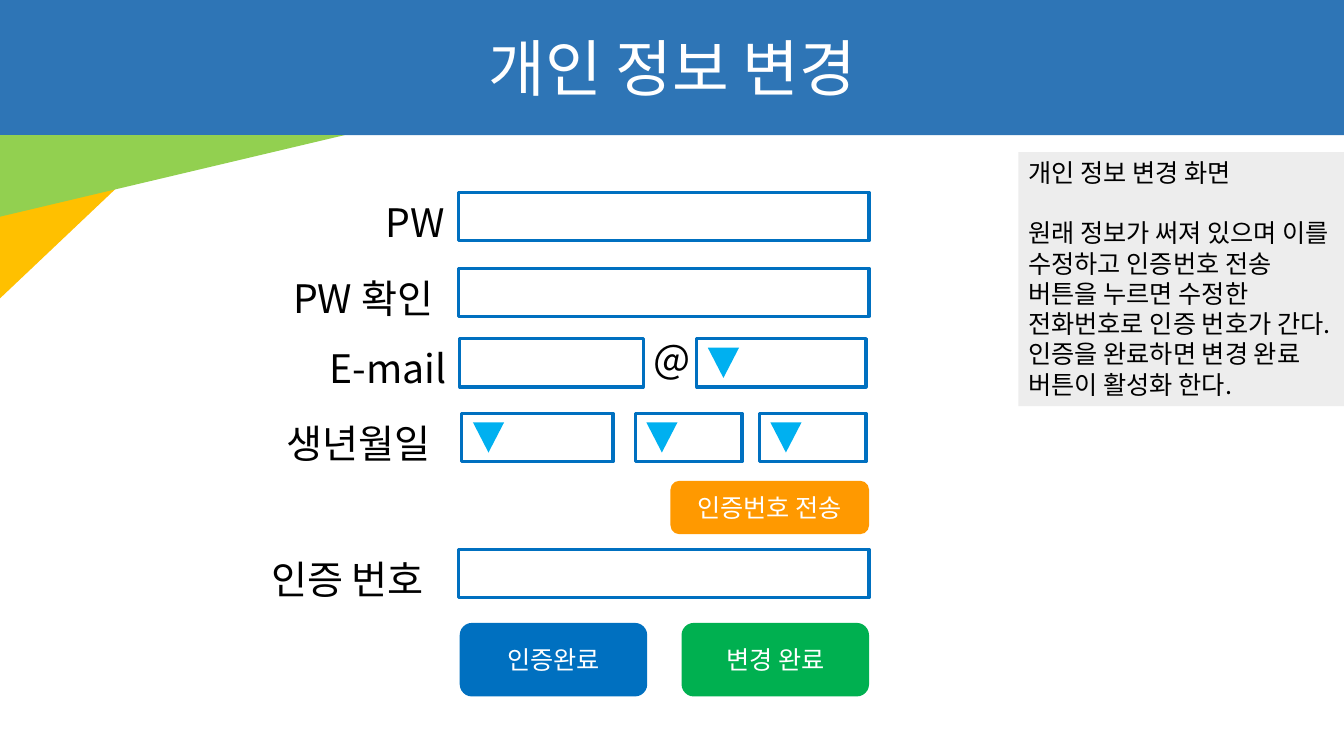
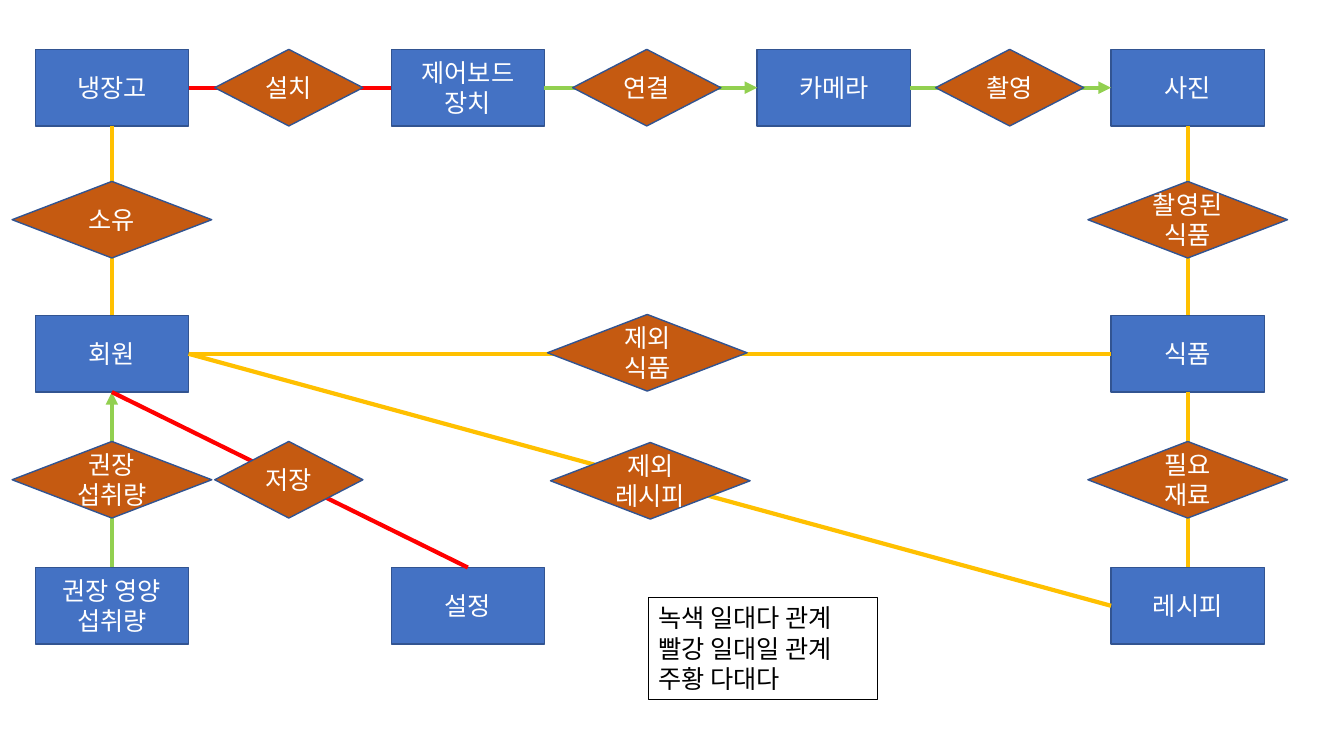
from dataclasses import dataclass

from lxml.etree import SubElement
from pptx import Presentation
from pptx.dml.color import RGBColor as Rgb
from pptx.enum.shapes import MSO_CONNECTOR as Link
from pptx.enum.shapes import MSO_SHAPE as Form
from pptx.enum.text import MSO_ANCHOR as Anchor
from pptx.enum.text import PP_ALIGN as Align
from pptx.oxml.ns import qn
from pptx.util import Inches, Pt


@dataclass(frozen=True)
class Theme:
    font: str = "Noto Sans CJK KR"
    title: int = 44
    label: int = 28
    body: int = 18
    white: str = "FFFFFF"
    black: str = "000000"
    band: str = "2E75B6"
    lime: str = "92D050"
    gold: str = "FFC000"
    red: str = "FF0000"
    note: str = "EDEDED"
    blue: str = "0070C0"
    sky: str = "00B0F0"
    amber: str = "FF9900"
    green: str = "00B050"
    node: str = "4472C4"
    rust: str = "C55A11"
    edge: str = "325491"


TOP, LEFT, BOTTOM, RIGHT = range(4)


class Deck:
    def __init__(self, theme):
        self.theme = theme
        self.show = Presentation()
        self.show.slide_width = Inches(13.33)
        self.show.slide_height = Inches(7.5)
        self.slide = None

    def page(self):
        self.slide = self.show.slides.add_slide(self.show.slide_layouts[6])

    def letter(self, shape, text, size, color, align=Align.LEFT, anchor=Anchor.TOP, gap=0):
        frame = shape.text_frame
        frame.word_wrap = True
        frame.vertical_anchor = anchor
        frame.text = text
        for place, para in enumerate(frame.paragraphs):
            para.alignment = align
            if place and gap:
                para.space_before = Pt(gap)
            for run in para.runs:
                run.font.name = self.theme.font
                run.font.size = Pt(size)
                run.font.color.rgb = Rgb.from_string(color)
                SubElement(run.font._element, qn("a:ea"), typeface=self.theme.font)

    def shape(self, form, box, fill=None, line=None, width=1, flip=False):
        item = self.slide.shapes.add_shape(form, *map(Inches, box))
        item.shadow.inherit = False
        if fill:
            item.fill.solid()
            item.fill.fore_color.rgb = Rgb.from_string(fill)
        else:
            item.fill.background()
        if line:
            item.line.color.rgb = Rgb.from_string(line)
            item.line.width = Pt(width)
        else:
            item.line.fill.background()
        if flip:
            item._element.spPr.xfrm.set("flipV", "1")
        return item

    def text(self, words, box, size, color, align=Align.LEFT):
        item = self.slide.shapes.add_textbox(*map(Inches, box))
        self.letter(item, words, size, color, align)

    def badge(self, form, words, box, fill, line=None):
        item = self.shape(form, box, fill, line)
        self.letter(item, words, self.theme.body, self.theme.white, Align.CENTER, Anchor.MIDDLE)
        return item

    def panel(self, words, box, fill=None, line=None, gap=0):
        item = self.shape(Form.RECTANGLE, box, fill, line, 0.75)
        self.letter(item, words, self.theme.body, self.theme.black, gap=gap)

    def label(self, words, left, top, width):
        self.text(words, (left, top, width, 0.57), self.theme.label, self.theme.black)

    def field(self, left, top, width, pick=False):
        self.shape(Form.RECTANGLE, (left, top, width, 0.48), None, self.theme.blue, 2.25)
        if pick:
            mark = (left + 0.11, top + 0.09, 0.31, 0.3)
            self.shape(Form.ISOSCELES_TRIANGLE, mark, self.theme.sky, flip=True)

    def header(self, words):
        theme = self.theme
        self.shape(Form.RECTANGLE, (0, 0, 13.33, 1.34), theme.band)
        for width, height, fill in ((1.71, 1.62, theme.gold), (3.42, 0.81, theme.lime)):
            self.shape(Form.RIGHT_TRIANGLE, (0, 1.34, width, height), fill, flip=True)
        self.text(words, (4.29, 0.25, 4.76, 0.84), theme.title, theme.white, Align.CENTER)

    def join(self, start, side, end, port, color, arrow=False):
        line = self.slide.shapes.add_connector(Link.STRAIGHT, 0, 0, 0, 0)
        line.begin_connect(start, side)
        line.end_connect(end, port)
        line.line.color.rgb = Rgb.from_string(color)
        line.line.width = Pt(3)
        if arrow:
            SubElement(line.line._get_or_add_ln(), qn("a:tailEnd"), type="triangle")
        SubElement(line._element.spPr, qn("a:effectLst"))


def build_form(deck):
    theme = deck.theme
    deck.page()
    deck.header("개인 정보 변경")
    deck.panel(
        "개인 정보 변경 화면\n원래 정보가 써져 있으며 이를 수정하고 인증번호 전송 버튼을 누르면 "
        "수정한 전화번호로 인증 번호가 간다. 인증을 완료하면 변경 완료 버튼이 활성화 한다.",
        (10.1, 1.51, 3.24, 2.52), theme.note, gap=21.6)

    # Rows: label, its left and width, row top, fields as (left, width, pick)
    wide = [(4.55, 4.07, False)]
    rows = [
        ("PW", 3.73, 0.82, 1.91, wide),
        ("PW 확인", 2.81, 1.84, 2.66, wide),
        ("E-mail", 3.17, 1.39, 3.36, [(4.56, 1.82, False), (6.91, 1.68, True)]),
        ("생년월일", 2.74, 1.84, 4.1, [(4.58, 1.5, True), (6.3, 1.06, True), (7.53, 1.06, True)]),
        ("인증 번호", 2.59, 1.97, 5.45, wide),
    ]
    for words, left, width, top, fields in rows:
        deck.label(words, left, top + 0.01, width)
        for start, span, pick in fields:
            deck.field(start, top, span, pick)
    deck.label("@", 6.38, 3.27, 0.6)

    # Buttons
    for words, box, fill in (
        ("인증번호 전송", (6.65, 4.77, 1.97, 0.53), theme.amber),
        ("인증완료", (4.56, 6.18, 1.86, 0.73), theme.blue),
        ("변경 완료", (6.76, 6.18, 1.86, 0.73), theme.green),
    ):
        deck.badge(Form.ROUNDED_RECTANGLE, words, box, fill)


def build_chart(deck):
    theme = deck.theme
    deck.page()
    high = 0.76

    # Entities on a grid of columns and rows
    cols, rows = (0.35, 3.88, 7.51, 11.02), (0.49, 3.13, 5.63)
    spots = {
        "냉장고": (0, 0), "제어보드\n장치": (1, 0), "카메라": (2, 0), "사진": (3, 0),
        "회원": (0, 1), "식품": (3, 1),
        "권장 영양 섭취량": (0, 2), "설정": (1, 2), "레시피": (3, 2),
    }
    nodes = {
        spot: deck.badge(Form.RECTANGLE, words, (cols[spot[0]], rows[spot[1]], 1.52, high),
                         theme.node, theme.edge)
        for words, spot in spots.items()
    }

    # Links: start, side, end, side, colour, arrow
    for start, side, end, port, color, arrow in (
        ((1, 0), LEFT, (0, 0), RIGHT, theme.red, False),
        ((1, 0), RIGHT, (2, 0), LEFT, theme.lime, True),
        ((2, 0), RIGHT, (3, 0), LEFT, theme.lime, True),
        ((0, 0), BOTTOM, (0, 1), TOP, theme.gold, False),
        ((3, 1), TOP, (3, 0), BOTTOM, theme.gold, False),
        ((3, 1), BOTTOM, (3, 2), TOP, theme.gold, False),
        ((3, 1), LEFT, (0, 1), RIGHT, theme.gold, False),
        ((3, 2), LEFT, (0, 1), RIGHT, theme.gold, False),
        ((0, 2), TOP, (0, 1), BOTTOM, theme.lime, True),
        ((1, 2), TOP, (0, 1), BOTTOM, theme.red, False),
    ):
        deck.join(nodes[start], side, nodes[end], port, color, arrow)

    # Relations: words, left, top, width
    slim, broad = 1.47, 1.98
    for words, left, top, width in (
        ("설치", 2.13, 0.49, slim), ("연결", 5.68, 0.49, slim), ("촬영", 9.28, 0.49, slim),
        ("소유", 0.12, 1.8, broad), ("촬영된 식품", 10.79, 1.8, broad),
        ("제외 식품", 5.43, 3.12, broad), ("권장 섭취량", 0.12, 4.38, broad),
        ("저장", 2.13, 4.38, slim), ("제외 레시피", 5.46, 4.39, broad),
        ("필요\n재료", 10.79, 4.38, broad),
    ):
        deck.badge(Form.DIAMOND, words, (left, top, width, high), theme.rust, theme.edge)

    # Legend
    deck.panel("녹색 일대다 관계\n빨강 일대일 관계\n주황 다대다", (6.43, 5.93, 2.27, 1.01),
               line=theme.black)


def main():
    deck = Deck(Theme())
    build_form(deck)
    build_chart(deck)
    deck.show.save("out.pptx")


if __name__ == "__main__":
    main()
